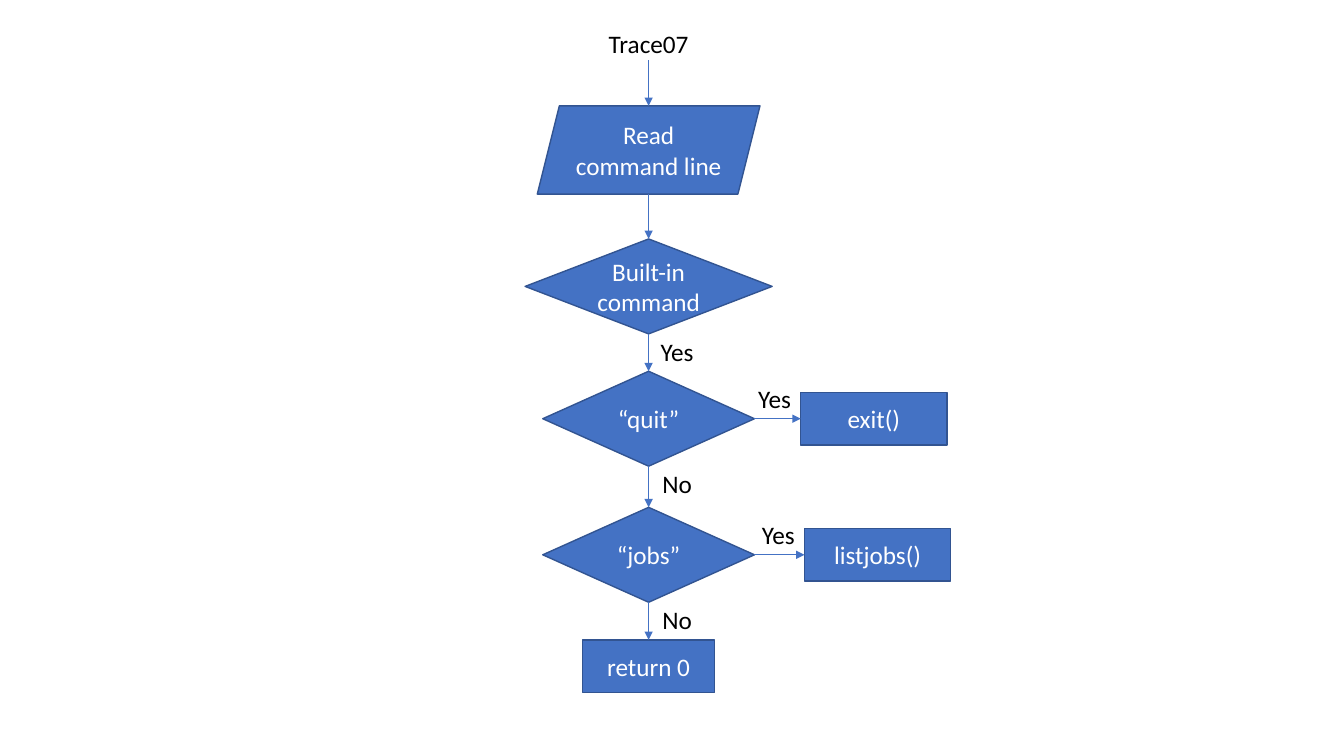
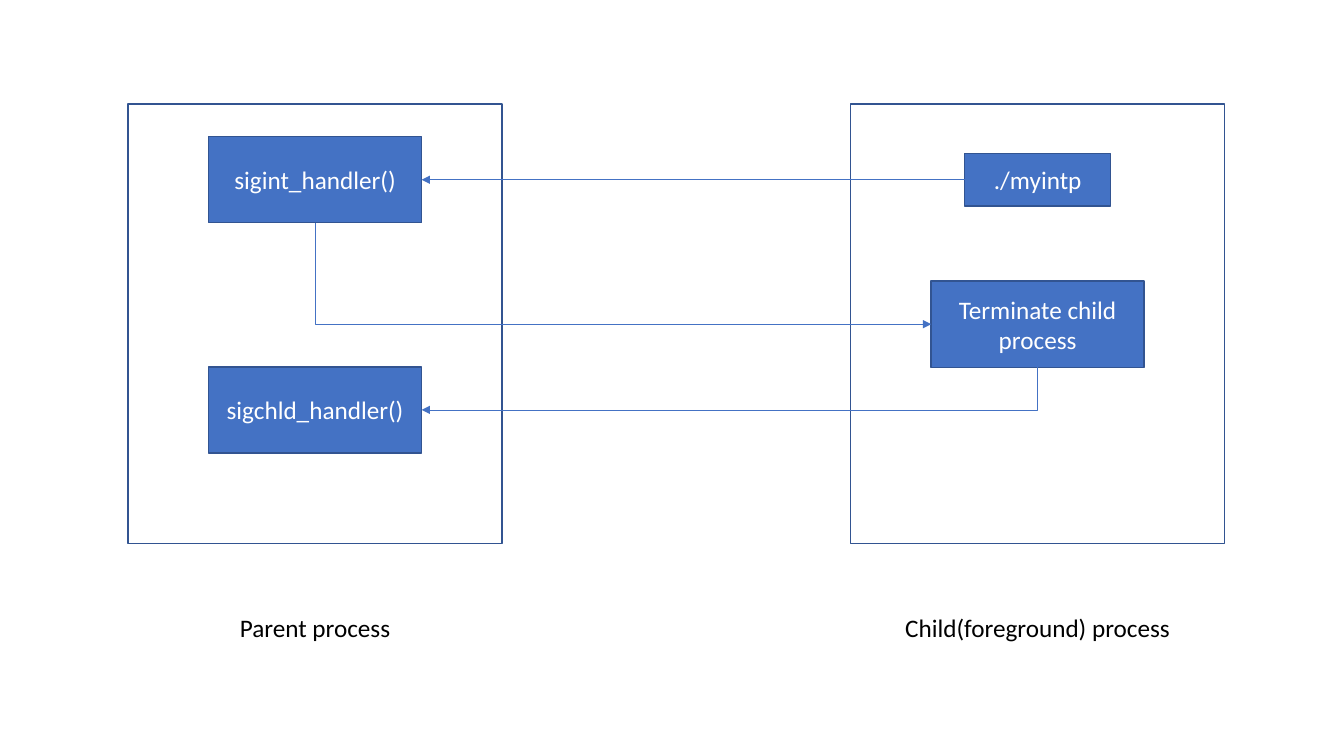
from pptx import Presentation
from pptx.util import Inches, Pt
from pptx.dml.color import RGBColor
from pptx.enum.shapes import MSO_CONNECTOR, MSO_SHAPE
from pptx.enum.text import MSO_ANCHOR, MSO_AUTO_SIZE, PP_ALIGN
from pptx.oxml.ns import qn
from lxml import etree

BOX, DECISION = MSO_SHAPE.RECTANGLE, MSO_SHAPE.FLOWCHART_DECISION
INPUT = MSO_SHAPE.PARALLELOGRAM
STRAIGHT, ELBOW = MSO_CONNECTOR.STRAIGHT, MSO_CONNECTOR.ELBOW
MIDDLE, CENTER = MSO_ANCHOR.MIDDLE, PP_ALIGN.CENTER
GROW = MSO_AUTO_SIZE.SHAPE_TO_FIT_TEXT

COLORS = {"node": "4472C4", "edge": "325491", "paper": "FFFFFF", "ink": "000000"}
COLORS = {name: RGBColor.from_string(value) for name, value in COLORS.items()}

deck = Presentation()
deck.slide_width, deck.slide_height = Inches(13.33), Inches(7.5)
UNIT = deck.slide_height / 90  # square grid, 160 columns by 90 rows
BLANK = deck.slide_layouts[6]


def add_text(slide, text, cx, cy, w, h, kind=None, fill="node", edge="edge", color="paper"):
    """Place text centred on grid point (cx, cy), in a shape or as a bare label."""
    area = [round(n * UNIT) for n in (cx - w / 2, cy - h / 2, w, h)]
    if kind is None:
        part = slide.shapes.add_textbox(*area)
        part.text_frame.auto_size = GROW
    else:
        part = slide.shapes.add_shape(kind, *area)
        part.shadow.inherit = False
        part.fill.solid()
        part.fill.fore_color.rgb = COLORS[fill]
        part.line.color.rgb = COLORS[edge]
        part.line.width = Pt(1)
        part.text_frame.vertical_anchor = MIDDLE
    part.text_frame.word_wrap = True
    if text:
        paragraph = part.text_frame.paragraphs[0]
        paragraph.alignment = CENTER
        run = paragraph.add_run()
        run.text = text
        run.font.name, run.font.size = "Calibri", Pt(18)
        run.font.color.rgb = COLORS[color]


def add_arrow(slide, x1, y1, x2, y2, bent=False):
    """Draw an arrow; a bent one leaves downwards, then turns to the side."""
    ends, rightward = (x1, y1, x2, y2), x2 > x1
    if bent:  # lay out the quarter-turned frame around the same centre
        mid_x, mid_y = (x1 + x2) / 2, (y1 + y2) / 2
        half_w, half_h = abs(y2 - y1) / 2, abs(x2 - x1) / 2
        side = -half_w if rightward else half_w
        ends = (mid_x - side, mid_y - half_h, mid_x + side, mid_y + half_h)
    arrow = slide.shapes.add_connector(ELBOW if bent else STRAIGHT,
                                       *[round(n * UNIT) for n in ends])
    arrow.line.color.rgb = COLORS["node"]
    arrow.line.width = Pt(0.5)
    properties = arrow._element.spPr
    etree.SubElement(properties.find(qn("a:ln")), qn("a:tailEnd"), type="triangle")
    etree.SubElement(properties, qn("a:effectLst"))
    if bent:
        properties.find(qn("a:prstGeom")).set("prst", "bentConnector2")
        properties.find(qn("a:xfrm")).set("rot", str((270 if rightward else 90) * 60000))


# Slide 1: flow of built-in commands, top to bottom along one axis
flow = deck.slides.add_slide(BLANK)
AXIS = 77.2
LABEL = {"w": 6.85, "h": 4.8, "color": "ink"}
STEP_H = 6.25

add_text(flow, "Trace07", AXIS, 5.2, 16.5, 4.8, color="ink")
steps = [  # text, middle row, width, height, shape, answer below
    ("Read command line", 17.85, 26.5, 10.5, INPUT, None),
    ("Built-in command", 34.1, 29.4, 11.3, DECISION, "Yes"),
    ("“quit”", 49.85, 25.2, 11.3, DECISION, "No"),
    ("“jobs”", 66.05, 25.2, 11.3, DECISION, "No"),
    ("return 0", 79.3, 15.75, STEP_H, BOX, None),
]
above = 7.2
for text, row, w, h, kind, answer in steps:
    add_text(flow, text, AXIS, row, w, h, kind)
    add_arrow(flow, AXIS, above, AXIS, row - h / 2)
    above = row + h / 2
    if answer:
        add_text(flow, answer, AXIS + 3.4, above + 2.1, **LABEL)

# Calls made when a command matches
CALL_W = 17.4
for (_, row, w, *_), call, column in zip(steps[2:4], ("exit()", "listjobs()"), (104, 104.45)):
    add_text(flow, call, column, row, CALL_W, STEP_H, BOX)
    add_arrow(flow, AXIS + w / 2, row, column - CALL_W / 2, row)
    add_text(flow, "Yes", column - 11.8, row - 2.4, **LABEL)

# Slide 2: signals between parent and child
signals = deck.slides.add_slide(BLANK)
PARENT, CHILD = 37.5, 123.5
HANDLER_W, HANDLER_H = 25.35, 10.25
INTERRUPT, TERMINATE, REAP = 21.4, 38.6, 48.8

for column, caption, w in ((PARENT, "Parent process", 21.4),
                           (CHILD, "Child(foreground) process", 37.7)):
    add_text(signals, "", column, 38.55, 44.55, 52.3, BOX, fill="paper")
    add_text(signals, caption, column, 74.7, w, 9, BOX,
             fill="paper", edge="paper", color="ink")

add_text(signals, "./myintp", CHILD, INTERRUPT, CALL_W, STEP_H, BOX)
for text, column, row in (("sigint_handler()", PARENT, INTERRUPT),
                          ("Terminate child process", CHILD, TERMINATE),
                          ("sigchld_handler()", PARENT, REAP)):
    add_text(signals, text, column, row, HANDLER_W, HANDLER_H, BOX)

# Signal arrows
parent_edge, child_edge = PARENT + HANDLER_W / 2, CHILD - HANDLER_W / 2
add_arrow(signals, CHILD - CALL_W / 2, INTERRUPT, parent_edge, INTERRUPT)
add_arrow(signals, PARENT, INTERRUPT + HANDLER_H / 2, child_edge, TERMINATE, bent=True)
add_arrow(signals, CHILD, TERMINATE + HANDLER_H / 2, parent_edge, REAP, bent=True)

deck.save("out.pptx")
